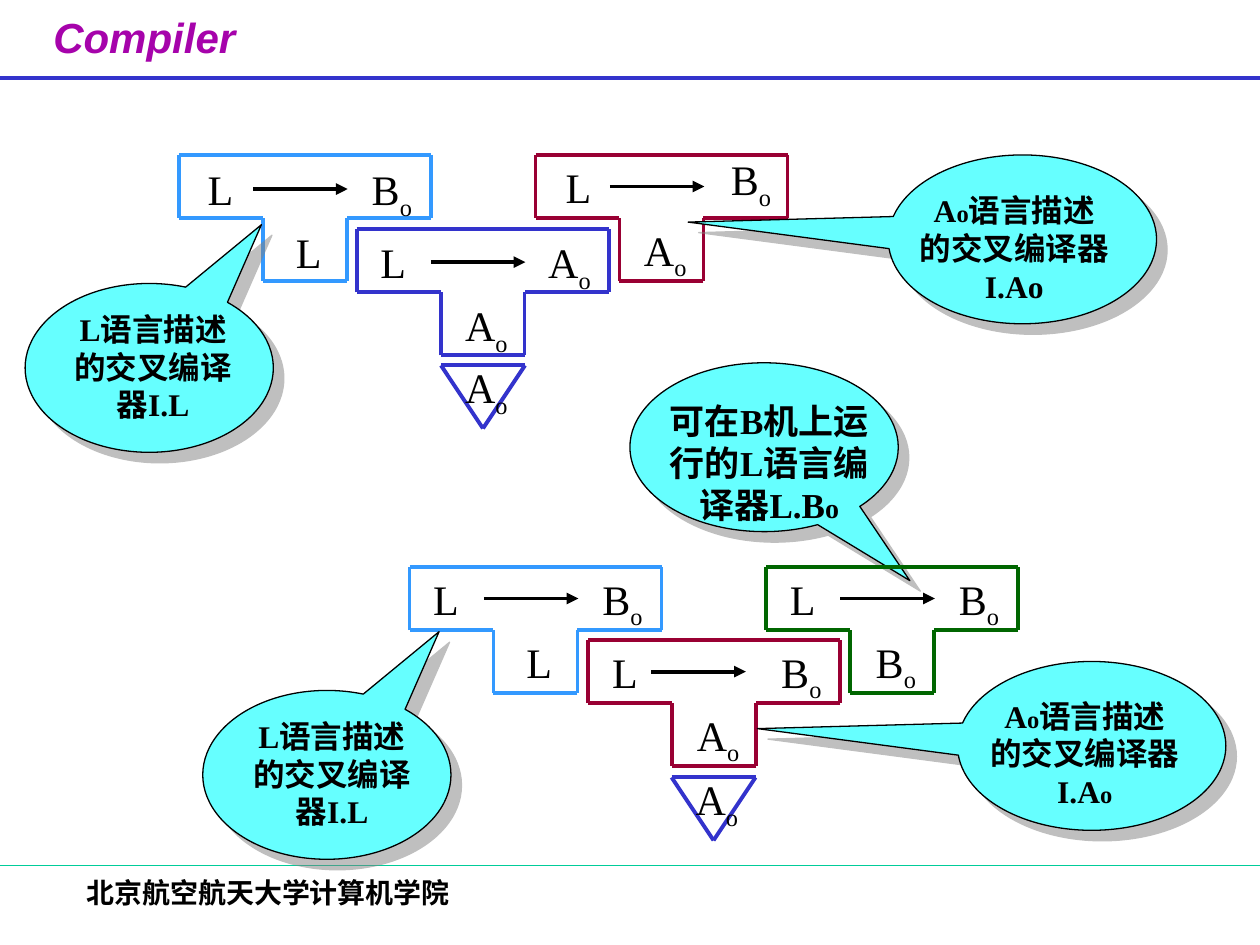
from lxml.etree import SubElement
from pptx import Presentation
from pptx.dml.color import RGBColor
from pptx.enum.shapes import MSO_CONNECTOR as CONNECTOR, MSO_SHAPE as SHAPE
from pptx.enum.text import MSO_ANCHOR as ANCHOR, MSO_AUTO_SIZE as AUTO_SIZE, PP_ALIGN as ALIGN
from pptx.oxml.ns import qn
from pptx.util import Inches, Pt

COLORS = {
    "title": "A603AB", "indigo": "3333CC", "teal": "00CC99", "sky": "3399FF",
    "crimson": "990033", "green": "006600", "black": "000000",
    "bubble": "66FFFF", "shadow": "808080",
}
SERIF = "Times New Roman"
TITLE = "Compiler"
INSTITUTE = "北京航空航天大学计算机学院"
RULES = [(0.62, "indigo", 2.25), (6.87, "teal", 0.75)]

CROSS_DIAGRAMS = [
    (2.83, 1.82, "indigo", "L", "A", "A", {"source": (0, 0.01), "target": (0, 0.01), "host": (0, 0.01), "arrow": (0, 0.01)}),
    (1.42, 1.23, "sky", "L", "B", "L", {"source": (0.04, 0.02), "target": (0, 0.02), "host": (0, 0.02), "arrow": (0, 0.02)}),
    (4.25, 1.23, "crimson", "L", "B", "A", {"source": (0.05, 0), "target": (0.02, -0.06)}),
]
RESULT_DIAGRAMS = [
    (4.67, 5.08, "crimson", "L", "B", "A", {"arrow": (-0.09, 0)}),
    (3.25, 4.5, "sky", "L", "B", "L", {}),
    (6.08, 4.5, "green", "L", "B", "B", {}),
]
CROSS_MACHINE = (3.5, 2.9, "A")
RESULT_MACHINE = (5.33, 6.17, "A")

SOURCE_NOTE = [("L语言描述的交叉编译器I.L", 18)]
CROSS_CALLOUTS = [
    ((0.2, 2.25, 1.97, 1.34), (0.452, -0.848), (0.43, 2.41, 1.57, 1), SOURCE_NOTE),
    ((7.05, 1.23, 2.13, 1.34), (-1.246, -0.102), (7.2, 1.47, 1.7, 1),
     [("A", 18), ("o", 14), ("语言描述的交叉编译器I.Ao", 18)]),
]
RESULT_CALLOUT = ((5, 2.88, 2.13, 1.34), (0.543, 0.79), (5.08, 3.12, 2.05, 1.1),
                  [("可在B机上运行的L语言编译器L.B", 20), ("o", 16)])
LOWER_CALLOUTS = [
    ((1.61, 5.48, 1.97, 1.34), (0.452, -0.848), (1.85, 5.64, 1.57, 1), SOURCE_NOTE),
    ((7.6, 5.25, 2.13, 1.34), (-1.246, -0.102), (7.76, 5.48, 1.7, 1),
     [("A", 18), ("o", 14), ("语言描述的交叉编译器I.A", 18), ("o", 14)]),
]

BAR_WIDTH, STEP = 2, 0.5
STEM_LEFT, STEM_RIGHT = BAR_WIDTH / 3, BAR_WIDTH * 2 / 3
T_OUTLINE = [
    (0, 0), (BAR_WIDTH, 0), (BAR_WIDTH, STEP), (STEM_RIGHT, STEP), (STEM_RIGHT, 2 * STEP),
    (STEM_LEFT, 2 * STEP), (STEM_LEFT, STEP), (0, STEP),
]
MACHINE_OUTLINE = [(0, 0), (STEM_LEFT, 0), (STEM_LEFT / 2, STEP)]
LABEL_CENTERS = {"source": (0.29, 0), "target": (1.69, 0), "host": (1.03, STEP)}
ARROW_START, ARROW_LENGTH = (0.59, 0.25), 0.75


def rgb(color):
    return RGBColor.from_string(COLORS[color])


def add_run(paragraph, text, size, color="black", font=SERIF, bold=False, italic=False):
    run = paragraph.add_run()
    run.text = text
    run.font.name, run.font.size = font, Pt(size)
    run.font.bold, run.font.italic = bold, italic
    run.font.color.rgb = rgb(color)
    return run


def add_paragraph_box(slide, area, align, wrap=True):
    box = slide.shapes.add_textbox(*map(Inches, area))
    box.text_frame.word_wrap = wrap
    paragraph = box.text_frame.paragraphs[0]
    paragraph.alignment = align
    return paragraph


def add_line(slide, start, end, color, width=2.25, arrow=False):
    line = slide.shapes.add_connector(CONNECTOR.STRAIGHT, *map(Inches, (*start, *end)))
    line.line.color.rgb = rgb(color)
    line.line.width = Pt(width)
    if arrow:
        SubElement(line.line._get_or_add_ln(), qn("a:tailEnd"), type="triangle")
    SubElement(line._element.spPr, qn("a:effectLst"))


def add_outline(slide, left, top, points, color):
    corners = [(left + x, top + y) for x, y in points]
    for start, end in zip(corners, corners[1:] + corners[:1]):
        add_line(slide, start, end, color)


def add_label(slide, letter, center, top):
    subscripted = letter != "L"
    width, height = (0.54, 0.56) if subscripted else (0.4, 0.5)
    paragraph = add_paragraph_box(slide, (center - width / 2, top, width, height), ALIGN.CENTER, wrap=False)
    add_run(paragraph, letter, 24)
    if subscripted:
        add_run(paragraph, "o", 24)._r.get_or_add_rPr().set("baseline", "-25000")


def add_t_diagram(slide, left, top, color, source, target, host, shifts):
    add_outline(slide, left, top, T_OUTLINE, color)
    letters = {"source": source, "target": target, "host": host}
    for part, (x, y) in LABEL_CENTERS.items():
        dx, dy = shifts.get(part, (0, 0))
        add_label(slide, letters[part], left + x + dx, top + y + dy)
    dx, dy = shifts.get("arrow", (0, 0))
    x, y = left + ARROW_START[0] + dx, top + ARROW_START[1] + dy
    add_line(slide, (x, y), (x + ARROW_LENGTH, y), "black", arrow=True)


def add_machine(slide, left, top, letter):
    add_outline(slide, left, top, MACHINE_OUTLINE, "indigo")
    add_label(slide, letter, left + 0.36, top - 0.08)


def add_callout(slide, area, tip, note_area, note):
    bubble = slide.shapes.add_shape(SHAPE.OVAL_CALLOUT, *map(Inches, area))
    bubble.adjustments[0], bubble.adjustments[1] = tip
    bubble.fill.solid()
    bubble.fill.fore_color.rgb = rgb("bubble")
    bubble.line.color.rgb = rgb("black")
    bubble.line.width = Pt(0.75)
    effects = SubElement(bubble._element.spPr, qn("a:effectLst"))
    shadow = SubElement(effects, qn("a:outerShdw"), dist=str(Pt(8.5)), dir="2700000", algn="ctr", rotWithShape="0")
    shade = SubElement(shadow, qn("a:srgbClr"), val=COLORS["shadow"])
    SubElement(shade, qn("a:alpha"), val="50000")
    paragraph = add_paragraph_box(slide, note_area, ALIGN.CENTER)
    for text, size in note:
        add_run(paragraph, text, size, bold=True)


def add_title(slide):
    title = slide.shapes.title
    title.left, title.top, title.width, title.height = map(Inches, (0.19, 0.04, 1.91, 0.62))
    frame = title.text_frame
    frame.word_wrap, frame.auto_size, frame.vertical_anchor = False, AUTO_SIZE.NONE, ANCHOR.TOP
    frame.paragraphs[0].alignment = ALIGN.CENTER
    add_run(frame.paragraphs[0], TITLE, 24, "title", "Arial", bold=True, italic=True)


def main():
    """Build the slide of T-diagrams for cross compilation."""
    deck = Presentation()
    deck.slide_width, deck.slide_height = Inches(10), Inches(7.5)
    slide = deck.slides.add_slide(deck.slide_layouts[5])
    add_title(slide)
    for y, color, width in RULES:
        add_line(slide, (0, y), (10, y), color, width)
    add_run(add_paragraph_box(slide, (0.59, 6.9, 5.65, 0.5), ALIGN.LEFT), INSTITUTE, 16, bold=True)

    for diagram in CROSS_DIAGRAMS:
        add_t_diagram(slide, *diagram)
    add_machine(slide, *CROSS_MACHINE)
    for callout in CROSS_CALLOUTS + [RESULT_CALLOUT]:
        add_callout(slide, *callout)
    for diagram in RESULT_DIAGRAMS:
        add_t_diagram(slide, *diagram)
    add_machine(slide, *RESULT_MACHINE)
    for callout in LOWER_CALLOUTS:
        add_callout(slide, *callout)
    deck.save("out.pptx")


if __name__ == "__main__":
    main()
